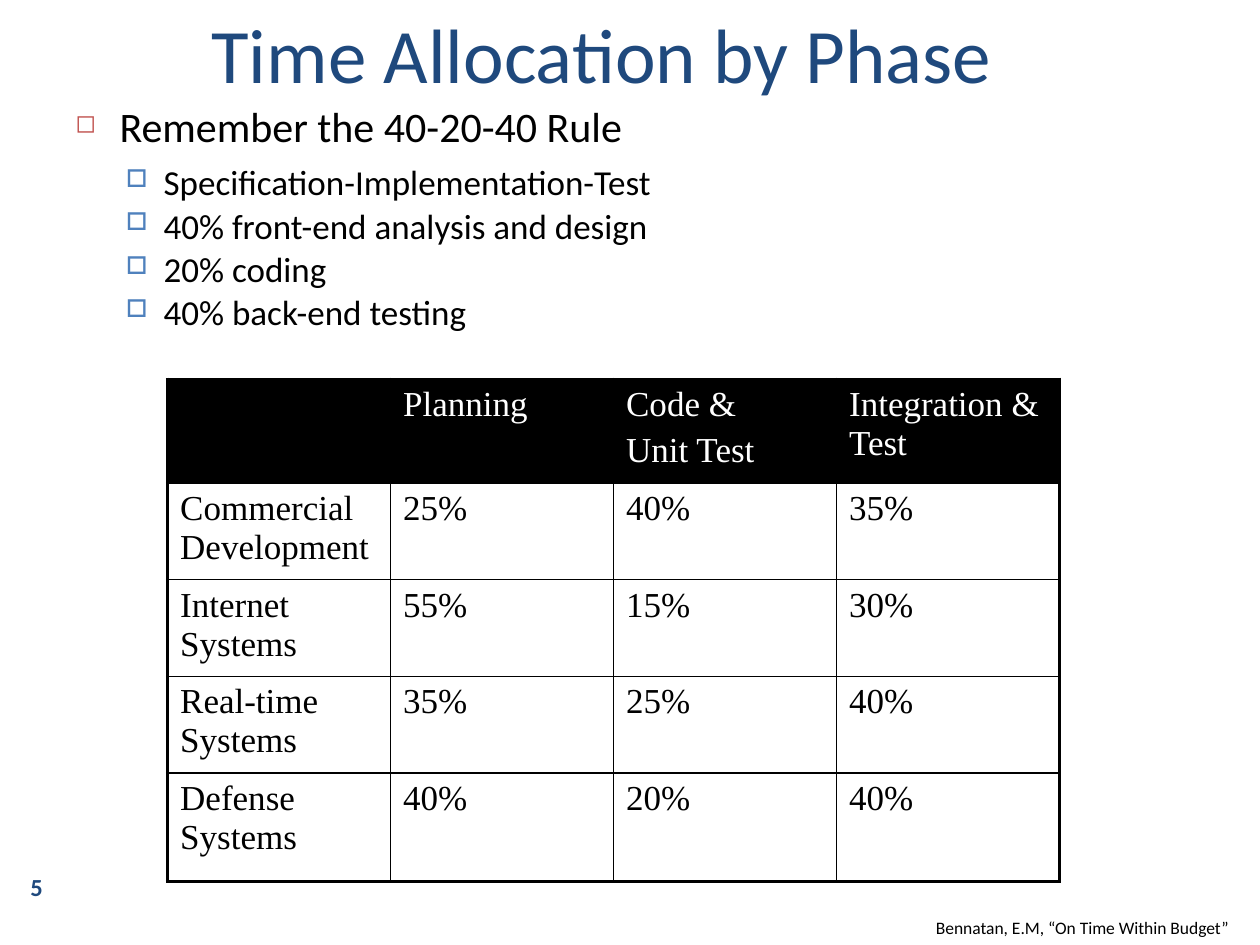
from dataclasses import dataclass
from typing import Any, Optional

import lxml.etree
import pptx
import pptx.dml.color
import pptx.enum.text
import pptx.oxml.ns
import pptx.util

Inches = pptx.util.Inches
Pt = pptx.util.Pt
Align = pptx.enum.text.PP_ALIGN
Anchor = pptx.enum.text.MSO_ANCHOR

NAVY, BLACK, WHITE = "1F497D", "000000", "FFFFFF"


@dataclass
class BulletStyle:
    character: str
    color: str
    percent: int
    indent: float
    hanging: float


@dataclass
class BodyLine:
    text: str
    size: float
    bullet: BulletStyle
    level: int = 0
    space_before: float = 0
    line_spacing: Optional[float] = None


MAIN = BulletStyle("◻", "C0504D", 60, 0.35, 0.35)
SUB = BulletStyle("□", "4F81BD", 70, 0.7, 0.3)
BODY_LINES = [
    BodyLine("Remember the 40-20-40 Rule", 24, MAIN),
    BodyLine("Specification-Implementation-Test", 20, SUB, 1, 5.5),
    *(BodyLine(text, 20, SUB, 1, 5.5, 0.8) for text in (
        "40% front-end analysis and design",
        "20% coding",
        "40% back-end testing",
    )),
]

TABLE_ROWS = [
    ["", "Planning", "Code &\nUnit Test", "Integration & Test"],
    ["Commercial Development", "25%", "40%", "35%"],
    ["Internet Systems", "55%", "15%", "30%"],
    ["Real-time Systems", "35%", "25%", "40%"],
    ["Defense Systems", "40%", "20%", "40%"],
]
ROW_HEIGHTS = [0.79, 0.73, 0.73, 0.73, 0.86]
COLUMN_WIDTH = 1.77


def rgb(color: str) -> pptx.dml.color.RGBColor:
    return pptx.dml.color.RGBColor.from_string(color)


def add_child(parent: Any, tag: str, **attributes: str) -> Any:
    child = lxml.etree.SubElement(parent, pptx.oxml.ns.qn(tag))
    for name, value in attributes.items():
        child.set(name, value)
    return child


def add_bullet(paragraph: Any, style: BulletStyle) -> None:
    properties = paragraph._p.get_or_add_pPr()
    properties.set("marL", str(Inches(style.indent)))
    properties.set("indent", str(-Inches(style.hanging)))
    add_child(add_child(properties, "a:buClr"), "a:srgbClr", val=style.color)
    add_child(properties, "a:buSzPct", val=str(style.percent * 1000))
    add_child(properties, "a:buChar", char=style.character)


def write_text(paragraph: Any, text: str, *, size: float, color: str = BLACK,
               font: str = "Calibri", bold: bool = False, align: Any = Align.LEFT,
               space_before: float = 0, line_spacing: Optional[float] = None,
               bullet: Optional[BulletStyle] = None, level: int = 0) -> None:
    if bullet:
        add_bullet(paragraph, bullet)
    paragraph.level = level
    paragraph.alignment = align
    paragraph.space_before = Pt(space_before)
    if line_spacing:
        paragraph.line_spacing = line_spacing
    run = paragraph.add_run()
    run.text = text
    run.font.size = Pt(size)
    run.font.name = font
    run.font.bold = bold
    run.font.color.rgb = rgb(color)


def add_text_frame(slide: Any, left: float, top: float, width: float, height: float,
                   anchor: Any = Anchor.TOP) -> Any:
    box = slide.shapes.add_textbox(Inches(left), Inches(top), Inches(width), Inches(height))
    box.text_frame.word_wrap = True
    box.text_frame.vertical_anchor = anchor
    return box.text_frame


def next_paragraph(frame: Any, index: int) -> Any:
    return frame.add_paragraph() if index else frame.paragraphs[0]


def add_border(cell: Any, side: str, width: float) -> None:
    line = add_child(cell._tc.get_or_add_tcPr(), f"a:ln{side}", w=str(Pt(width)))
    add_child(add_child(line, "a:solidFill"), "a:srgbClr", val=BLACK)


def add_phase_table(slide: Any, left: float, top: float) -> None:
    row_count, column_count = len(TABLE_ROWS), len(TABLE_ROWS[0])
    table = slide.shapes.add_table(
        row_count, column_count, Inches(left), Inches(top),
        Inches(COLUMN_WIDTH * column_count), Inches(sum(ROW_HEIGHTS))).table
    table.first_row = table.horz_banding = False
    for column in table.columns:
        column.width = Inches(COLUMN_WIDTH)
    for row_index, texts in enumerate(TABLE_ROWS):
        table.rows[row_index].height = Inches(ROW_HEIGHTS[row_index])
        is_header = row_index == 0
        for column_index, text in enumerate(texts):
            cell = table.cell(row_index, column_index)
            # Thick lines on the outer frame, thin lines inside
            outer_sides = {"L": column_index == 0, "R": column_index == column_count - 1,
                           "T": is_header, "B": row_index == row_count - 1}
            for side, is_outer in outer_sides.items():
                add_border(cell, side, 2.25 if is_outer else 1)
            if is_header:
                cell.fill.solid()
                cell.fill.fore_color.rgb = rgb(BLACK)
            else:
                cell.fill.background()
            for index, line in enumerate(text.splitlines()):
                write_text(next_paragraph(cell.text_frame, index), line, size=20,
                           font="Times New Roman", color=WHITE if is_header else BLACK,
                           space_before=4 if index else 0)


def main() -> None:
    presentation = pptx.Presentation()
    presentation.slide_width, presentation.slide_height = Inches(10), Inches(7.5)
    slide = presentation.slides.add_slide(presentation.slide_layouts[6])

    # Slide number
    number = add_text_frame(slide, 0, 6.83, 0.58, 0.42, Anchor.MIDDLE)
    write_text(number.paragraphs[0], "5", size=14, color=NAVY, bold=True, align=Align.CENTER)

    # Title
    title = add_text_frame(slide, 1.58, 0, 6.58, 0.83, Anchor.MIDDLE)
    write_text(title.paragraphs[0], "Time Allocation by Phase", size=44, color=NAVY)

    # Bulleted body
    body = add_text_frame(slide, 0.5, 0.75, 8.42, 2.25)
    for index, line in enumerate(BODY_LINES):
        write_text(next_paragraph(body, index), line.text, size=line.size,
                   bullet=line.bullet, level=line.level,
                   space_before=line.space_before, line_spacing=line.line_spacing)

    # Share of time per phase
    add_phase_table(slide, 1.33, 3.01)

    # Source credit
    credit = add_text_frame(slide, 7.33, 7.23, 2.67, 0.27)
    write_text(credit.paragraphs[0], "Bennatan, E.M, “On Time Within Budget”", size=10)

    presentation.save("out.pptx")


if __name__ == "__main__":
    main()
